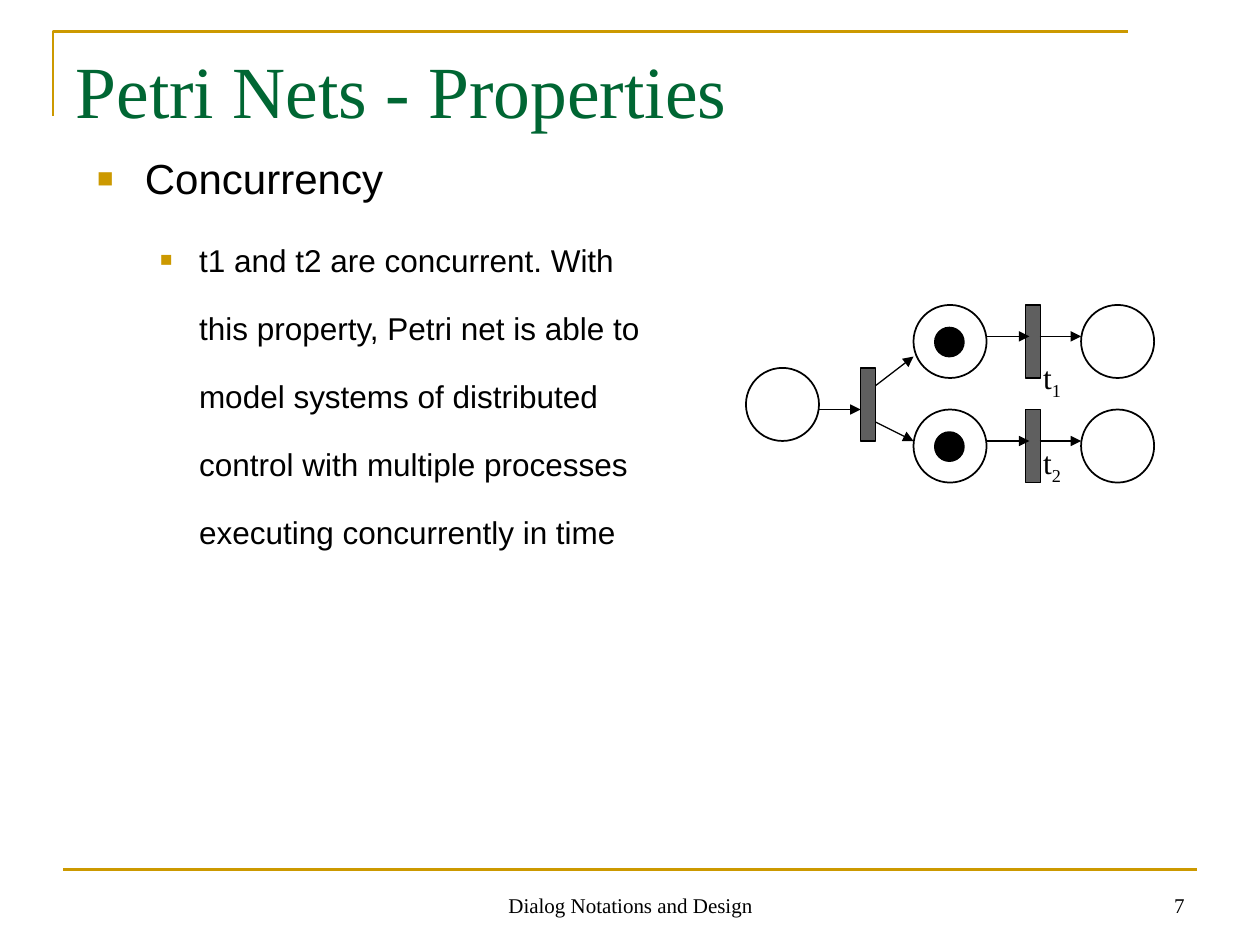
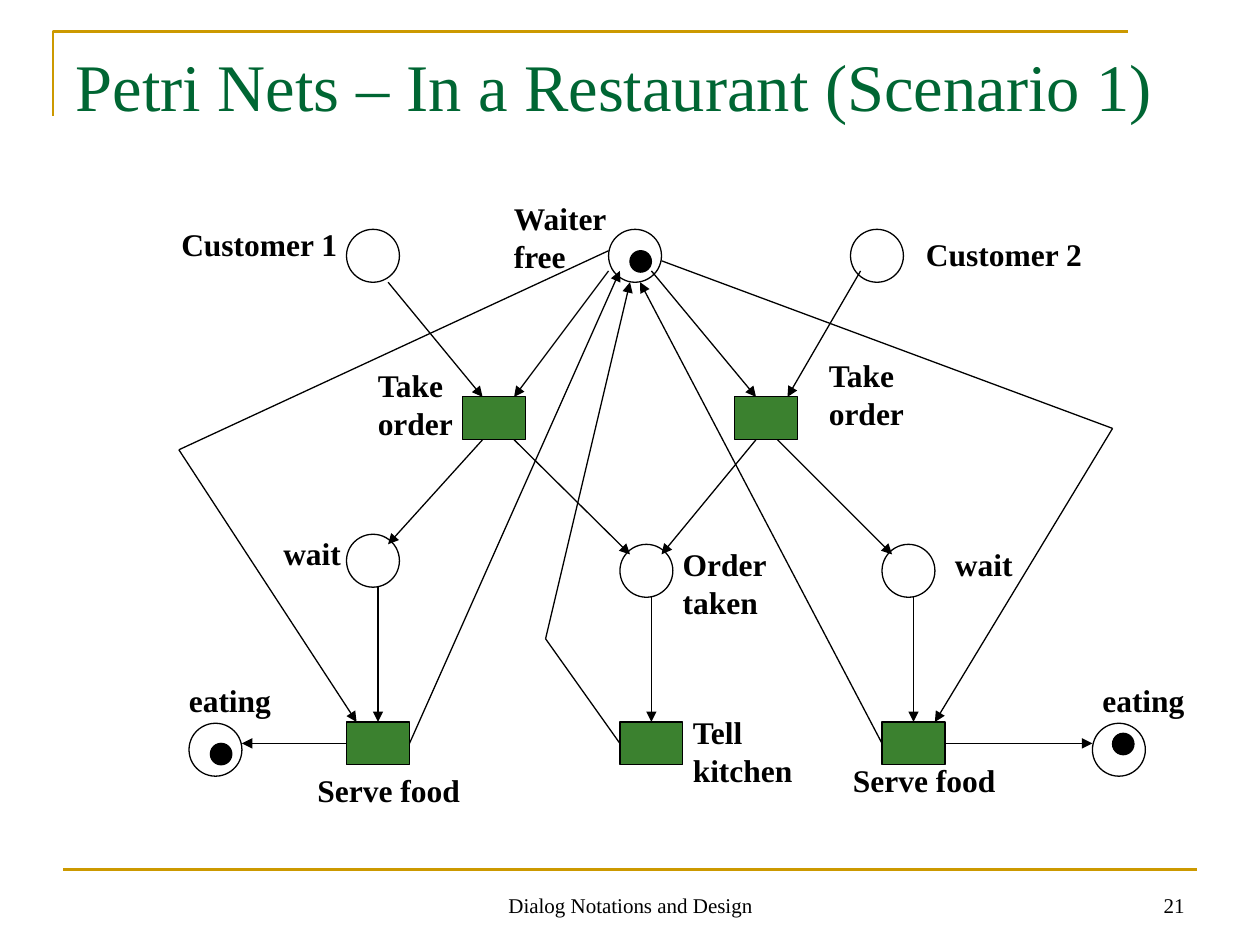
"""Build two Petri net slides: concurrency, and a restaurant scenario."""
from lxml import etree
from pptx import Presentation
from pptx.dml.color import RGBColor
from pptx.enum.shapes import MSO_CONNECTOR, MSO_SHAPE
from pptx.enum.text import MSO_ANCHOR, MSO_AUTO_SIZE, PP_ALIGN
from pptx.oxml.ns import qn
from pptx.util import Inches, Pt

OVAL, RECT = MSO_SHAPE.OVAL, MSO_SHAPE.RECTANGLE
STRAIGHT = MSO_CONNECTOR.STRAIGHT
TOP, BOTTOM = MSO_ANCHOR.TOP, MSO_ANCHOR.BOTTOM
LEFT, CENTER, RIGHT = PP_ALIGN.LEFT, PP_ALIGN.CENTER, PP_ALIGN.RIGHT
NO_FIT = MSO_AUTO_SIZE.NONE

THEME = {
    "gold": RGBColor(0xCC, 0x99, 0x00),
    "green": RGBColor(0x00, 0x66, 0x33),
    "task": RGBColor(0x3B, 0x81, 0x2F),
    "bar": RGBColor(0x5F, 0x5F, 0x5F),
    "black": RGBColor(0, 0, 0),
    "serif": "Times New Roman",
    "sans": "Arial",
    "footer": 12,
    "label": 18,
    "rule": 1.5,
    "thin": 0.75,
}


def write(tf, lines, size, color=THEME["black"], font=THEME["serif"], bold=False, align=LEFT):
    """Fill a text frame with one formatted paragraph per line."""
    for i, line in enumerate(lines):
        p = tf.paragraphs[0] if i == 0 else tf.add_paragraph()
        p.alignment = align
        r = p.add_run()
        r.text = line
        r.font.color.rgb = color
        for name, value in {"size": Pt(size), "name": font, "bold": bold}.items():
            setattr(r.font, name, value)


def connect(s, start, end, color=THEME["black"], width=THEME["thin"], arrow=True):
    """Draw a straight line, joined to any rectangle side it meets midway."""
    c = s.shapes.add_connector(STRAIGHT, *[Inches(v) for v in start + end])
    c.line.color.rgb = color
    c.line.width = Pt(width)
    etree.SubElement(c._element.spPr, qn("a:effectLst"))
    if arrow:
        etree.SubElement(c.line._get_or_add_ln(), qn("a:tailEnd"), type="triangle")
    for sp, (x, y, w, h) in rects[s.slide_id]:
        sides = [(x + w / 2, y), (x, y + h / 2), (x + w / 2, y + h), (x + w, y + h / 2)]
        for site, (sx, sy) in enumerate(sides):
            for point, join in ((start, c.begin_connect), (end, c.end_connect)):
                if abs(point[0] - sx) < 0.02 and abs(point[1] - sy) < 0.02:
                    join(sp, site)


prs = Presentation()
prs.slide_width, prs.slide_height = Inches(10), Inches(7.5)
rects = {}
slides = []

for layout, title, size, number in [
    (1, "Petri Nets - Properties", 42, "7"),
    (5, "Petri Nets – In a Restaurant (Scenario 1)", 38, "21"),
]:
    s = prs.slides.add_slide(prs.slide_layouts[layout])
    slides.append(s)
    rects[s.slide_id] = []

    fb = s.shapes.build_freeform(Inches(0.42), Inches(0.92), scale=1.0)
    fb.add_line_segments([(Inches(0.42), Inches(0.25)), (Inches(8.95), Inches(0.25))], close=False)
    corner = fb.convert_to_shape()
    corner.shadow.inherit = False
    corner.fill.background()
    corner.line.color.rgb = THEME["gold"]
    corner.line.width = Pt(THEME["rule"])
    connect(s, (0.5, 6.9), (9.5, 6.9), THEME["gold"], THEME["rule"], arrow=False)

    sp = s.shapes.title
    sp.left, sp.top, sp.width, sp.height = [Inches(v) for v in (0.5, 0.3, 9, 1.25)]
    tf = sp.text_frame
    for name, value in {"auto_size": NO_FIT, "vertical_anchor": TOP, "margin_top": Inches(0.06)}.items():
        setattr(tf, name, value)
    write(tf, [title], size, THEME["green"])

    for x, w, text, align in [
        (7.17, 2.33, number, RIGHT),
        (3.42, 3.17, "Dialog Notations and Design", CENTER),
    ]:
        tf = s.shapes.add_textbox(Inches(x), Inches(6.83), Inches(w), Inches(0.5)).text_frame
        tf.word_wrap = True
        tf.vertical_anchor = BOTTOM
        write(tf, [text], THEME["footer"], align=align)

net, restaurant = slides

sp = net.placeholders[1]
sp.left, sp.top, sp.width, sp.height = [Inches(v) for v in (0.67, 0.84, 4.73, 3)]
tf = sp.text_frame
tf.auto_size = NO_FIT
tf.vertical_anchor = TOP
for i, (text, size, margin, indent, before) in enumerate([
    ("Concurrency", 24, 0.38, -0.38, 0),
    ("t1 and t2 are concurrent. With this property, Petri net is able to model systems of "
     "distributed control with multiple processes executing concurrently in time",
     18, 0.81, -0.31, 4.5),
]):
    p = tf.paragraphs[0] if i == 0 else tf.add_paragraph()
    p.level = i
    pPr = p._p.get_or_add_pPr()
    pPr.set("marL", str(Inches(margin)))
    pPr.set("indent", str(Inches(indent)))
    clr = etree.SubElement(pPr, qn("a:buClr"))
    etree.SubElement(clr, qn("a:srgbClr"), val=str(THEME["gold"]))
    etree.SubElement(pPr, qn("a:buSzPct"), val="65000")
    etree.SubElement(pPr, qn("a:buFont"), typeface=THEME["sans"])
    etree.SubElement(pPr, qn("a:buChar"), char="■")
    p.line_spacing = 1.8
    p.space_before = Pt(before)
    r = p.add_run()
    r.text = text
    r.font.size, r.font.name = Pt(size), THEME["sans"]
    r.font.color.rgb = THEME["black"]

rows = (2.42, 3.25)
net_places = [(5.92, 2.92)] + [(x, y) for y in rows for x in (7.25, 8.58)]
net_tokens = [(7.42, y + 0.18) for y in rows]
bars = [(6.83, 2.92)] + [(8.14, y) for y in rows]
places = [(2.75, 1.82), (4.83, 1.82), (6.75, 1.82), (2.75, 4.24), (4.92, 4.32),
          (7, 4.32), (1.5, 5.74), (8.67, 5.74)]
tokens = [(1.67, 5.9), (8.83, 5.82), (5, 1.99)]
tasks = [(3.67, 3.15), (5.83, 3.15), (2.75, 5.73), (4.92, 5.73), (7, 5.73)]

for s, kind, spots, w, h, fill, width in [
    (net, OVAL, net_places, 0.58, 0.58, None, 1),
    (net, OVAL, net_tokens, 0.23, 0.23, "black", 1),
    (net, RECT, bars, 0.12, 0.58, "bar", THEME["thin"]),
    (restaurant, OVAL, places, 0.42, 0.42, None, THEME["thin"]),
    (restaurant, OVAL, tokens, 0.17, 0.17, "black", THEME["thin"]),
    (restaurant, RECT, tasks, 0.5, 0.34, "task", THEME["thin"]),
]:
    for x, y in spots:
        sp = s.shapes.add_shape(kind, Inches(x), Inches(y), Inches(w), Inches(h))
        sp.shadow.inherit = False
        sp.line.color.rgb = THEME["black"]
        sp.line.width = Pt(width)
        if fill:
            sp.fill.solid()
            sp.fill.fore_color.rgb = THEME[fill]
        else:
            sp.fill.background()
        if kind == RECT:
            rects[s.slide_id].append((sp, (x, y, w, h)))

net_arrows = [((6.5, 3.25), (6.83, 3.25)), ((6.95, 3.06), (7.25, 2.83)), ((6.95, 3.35), (7.25, 3.5))]
for y in (2.67, 3.5):
    net_arrows += [((7.83, y), (8.17, y)), ((8.25, y), (8.58, y))]
for start, end in net_arrows:
    connect(net, start, end)

for path in [
    [(3.08, 2.24), (3.83, 3.15)],
    [(4.83, 2.15), (4.08, 3.15)],
    [(5.17, 2.15), (6, 3.15)],
    [(6.83, 2.15), (6.25, 3.15)],
    [(3.83, 3.49), (3.08, 4.32)],
    [(4.08, 3.49), (5, 4.4)],
    [(6, 3.49), (5.25, 4.4)],
    [(6.17, 3.49), (7.08, 4.4)],
    [(3, 4.65), (3, 5.73)],
    [(5.17, 4.74), (5.17, 5.73)],
    [(7.25, 4.74), (7.25, 5.73)],
    [(2.75, 5.9), (1.92, 5.9)],
    [(7.5, 5.9), (8.67, 5.9)],
    [(3.25, 5.9), (4.92, 2.15)],
    [(7, 5.9), (5.08, 2.24)],
    [(4.92, 5.9), (4.33, 5.07), (5, 2.24)],
    [(4.83, 1.99), (1.42, 3.57), (2.83, 5.73)],
    [(5.25, 2.07), (8.83, 3.4), (7.42, 5.73)],
]:
    for start, end in zip(path, path[1:]):
        connect(restaurant, start, end, arrow=end == path[-1])

for x, y, w, lines in [
    (3.98, 1.53, 1.05, ["Waiter", "free"]),
    (1.34, 1.74, 1.55, ["Customer 1"]),
    (7.25, 1.82, 1.55, ["Customer 2"]),
    (2.9, 2.86, 0.9, ["Take", "order"]),
    (6.48, 2.78, 0.9, ["Take", "order"]),
    (5.32, 4.28, 1, ["Order", "taken"]),
    (5.4, 5.61, 1.1, ["Tell", "kitchen"]),
    (2.15, 4.19, 0.8, ["wait"]),
    (7.48, 4.28, 0.8, ["wait"]),
    (2.42, 6.07, 1.45, ["Serve food"]),
    (6.67, 5.99, 1.45, ["Serve food"]),
    (1.4, 5.36, 0.95, ["eating"]),
    (8.65, 5.36, 0.95, ["eating"]),
]:
    h = 0.1 + 0.3 * len(lines)
    tf = restaurant.shapes.add_textbox(Inches(x), Inches(y), Inches(w), Inches(h)).text_frame
    tf.word_wrap = True
    write(tf, lines, THEME["label"], bold=True)

for y, index in [(2.79, "1"), (3.47, "2")]:
    tf = net.shapes.add_textbox(Inches(8.18), Inches(y), Inches(0.5), Inches(0.4)).text_frame
    tf.word_wrap = True
    write(tf, ["t", index], THEME["label"])
    first, second = tf.paragraphs
    r = second.runs[0]
    r.font._element.set("baseline", "-25000")
    first._p.append(r._r)
    tf._txBody.remove(second._p)

prs.save("out.pptx")
